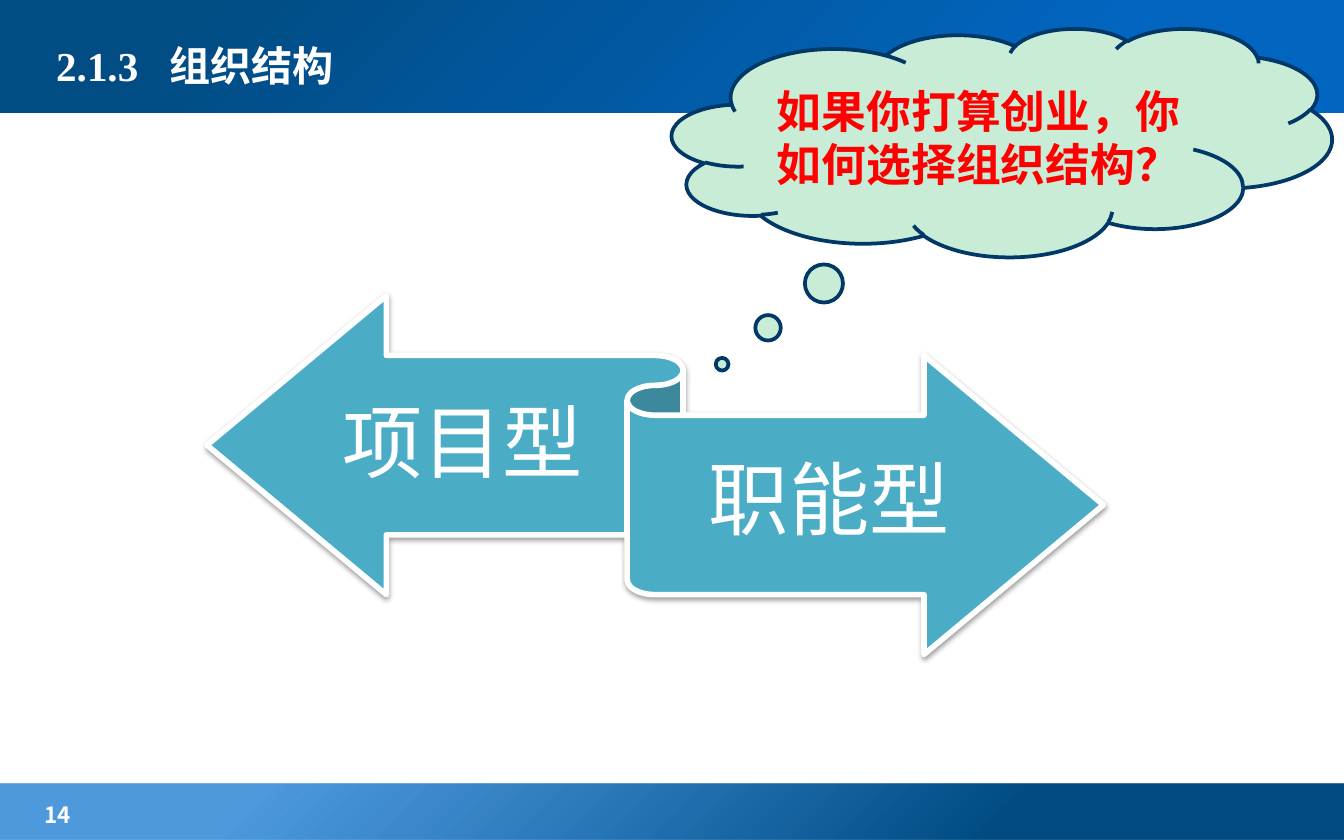
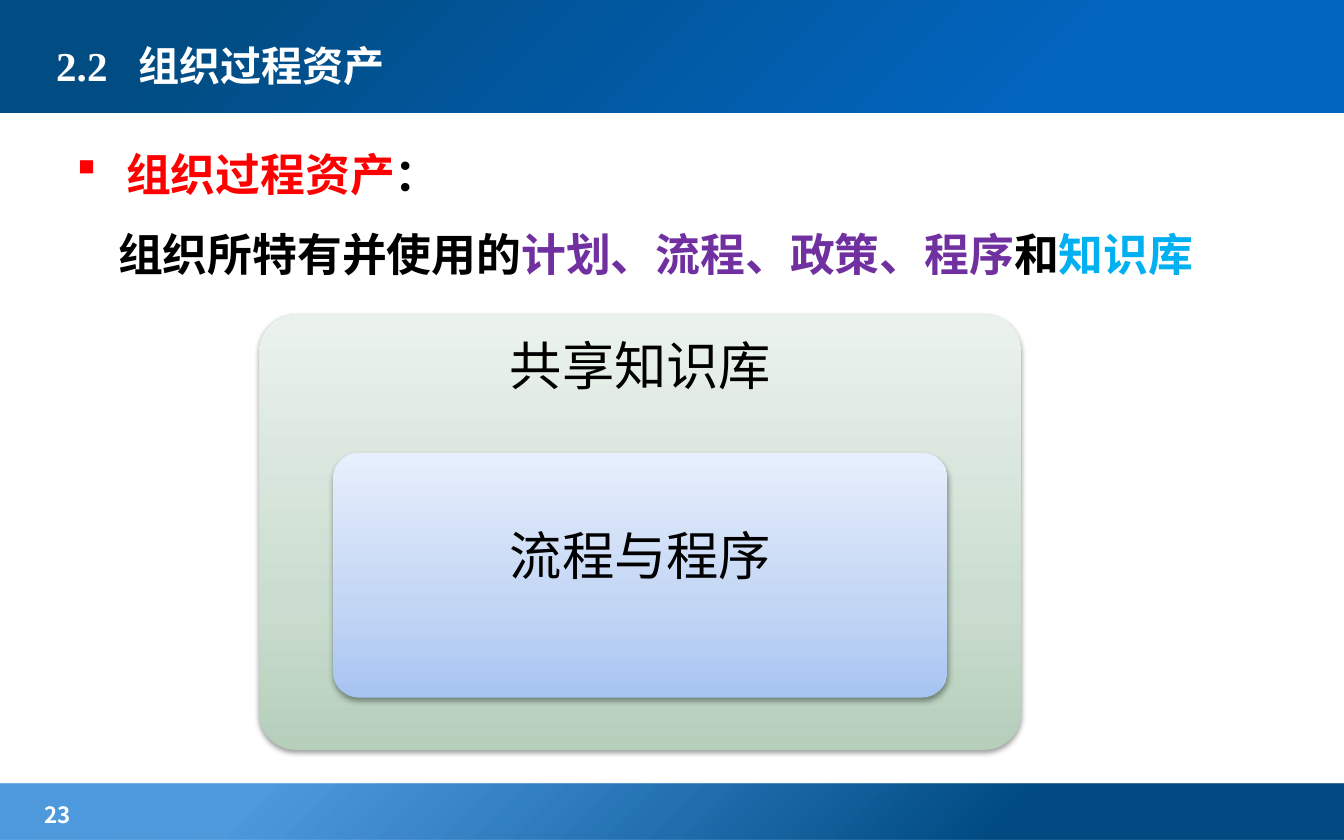
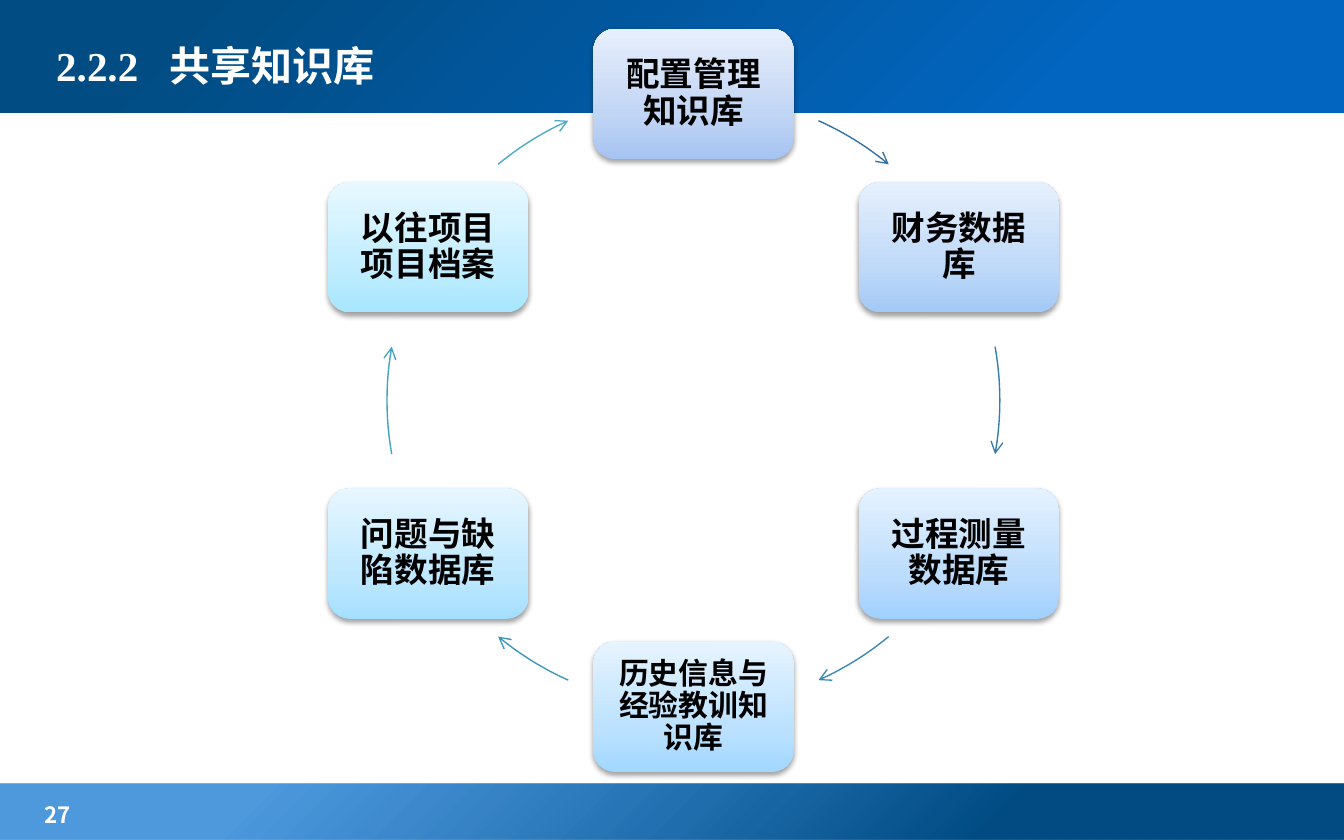
import math
from pptx import Presentation, util as u
from pptx.dml.color import RGBColor
from pptx.enum import shapes, text
from pptx.oxml import ns, parse_xml

Inches, Pt = u.Inches, u.Pt
KIND = shapes.MSO_SHAPE
MID, TOP = text.MSO_ANCHOR.MIDDLE, text.MSO_ANCHOR.TOP
LEFT, MIDDLE = text.PP_ALIGN.LEFT, text.PP_ALIGN.CENTER

# Colours and fonts
WHITE = RGBColor(255, 255, 255)
BLACK = RGBColor(0, 0, 0)
RED = RGBColor(255, 0, 0)
PURPLE = RGBColor(0x70, 0x30, 0xA0)
SKY = RGBColor(0x00, 0xB0, 0xF0)
TEAL = RGBColor(0x4B, 0xAC, 0xC6)
MINT = RGBColor(0xC8, 0xEC, 0xD6)
NAVY = RGBColor(0x01, 0x38, 0x68)
SERIF, SANS, HAN = "Times New Roman", "Lato", "Noto Sans CJK SC"

# Gradients: (position, colour, opacity)
HEAD = [(21, "0265BF", 100), (86, "014C83", 100)]
FOOT = [(26, "014C83", 100), (80, "026DCE", 70)]
CORNER = ('<a:path path="circle"><a:fillToRect l="100000" t="100000"/>'
          '</a:path>')
UPWARD = '<a:lin ang="16200000" scaled="0"/>'


def rise(low, mid, high):
    return [(0, low, 100), (35, mid, 100), (100, high, 100)]


GREEN = rise("B5CFBB", "CBDDD0", "EBF2ED")
BLUE = rise("A6C4F1", "C1D5F4", "E7EFFC")

# Knowledge bases clockwise from the top: text, size, gradient, next arrow
BASES = [
    ("配置管理知识库", 18, BLUE, "3371A4"),
    ("财务数据库", 18, rise("A3C9F7", "BFD9F8", "E6F0FD"), "367DAD"),
    ("过程测量数据库", 18, rise("A0D0FD", "BDDDFC", "E5F2FF"), "3989B5"),
    ("历史信息与经验教训知识库", 16, rise("A2D7FF", "BDE2FF", "E6F4FF"),
     "3C96BE"),
    ("问题与缺陷数据库", 18, rise("A5DFFF", "BFE8FF", "E7F6FF"), "42A2C3"),
    ("以往项目项目档案", 18, rise("A7E6FF", "C1EDFF", "E7F8FF"), "4BACC6"),
]
# Start and end angles of the arrows on one half of the ring
ARCS = [(24.1, 39.6), (79.9, 100.1), (140.4, 155.9)]
HUB, RADIUS = (5.16, 2.98), 2.28


def xml(tag, body="", attrs=""):
    return parse_xml(f"<a:{tag} {ns.nsdecls('a')} {attrs}>{body}</a:{tag}>")


# Shapes
def add_shape(slide, kind, box, shade=False):
    shape = slide.shapes.add_shape(kind, *map(Inches, box))
    shape.shadow.inherit = False
    shape.line.fill.background()
    if shade:
        effects = shape.element.spPr.find(ns.qn("a:effectLst"))
        effects.append(xml(
            "outerShdw",
            '<a:srgbClr val="000000"><a:alpha val="38000"/></a:srgbClr>',
            f'blurRad="{Pt(3.1)}" dist="{Pt(1.6)}" dir="5400000" '
            'rotWithShape="0"'))
    return shape


def paint(shape, fill, line, width):
    shape.fill.solid()
    shape.fill.fore_color.rgb = fill
    shape.line.color.rgb = line
    shape.line.width = Pt(width)


def blend(shape, stops, course):
    marks = "".join(
        f'<a:gs pos="{pos * 1000}"><a:srgbClr val="{tone}">'
        f'<a:alpha val="{alpha * 1000}"/></a:srgbClr></a:gs>'
        for pos, tone, alpha in stops)
    shape.fill.background()
    props = shape.element.spPr
    props.replace(props.find(ns.qn("a:noFill")),
                  xml("gradFill", f"<a:gsLst>{marks}</a:gsLst>{course}"))


# Text
def style(para, size, face, tone, bold=False, align=LEFT, space=None):
    para.alignment = align
    if space:
        para.line_spacing = space
    font = para.font
    font.size, font.name, font.bold = Pt(size), face, bold
    font.color.rgb = tone
    font._element.append(xml("ea", attrs=f'typeface="{HAN}"'))


def frame(shape, anchor=MID, pads=(0.1, 0.05, 0.1, 0.05)):
    body = shape.text_frame
    body.word_wrap = True
    body.vertical_anchor = anchor
    (body.margin_left, body.margin_top,
     body.margin_right, body.margin_bottom) = map(Inches, pads)
    return body


def write(shape, words, size, face, tone, bold=False, align=MIDDLE,
          space=None, **place):
    para = frame(shape, **place).paragraphs[0]
    para.add_run().text = words
    style(para, size, face, tone, bold, align, space)


def add_text(slide, box, words, *look, **place):
    write(slide.shapes.add_textbox(*map(Inches, box)), words, *look, **place)


def add_card(slide, box, stops, words, size, face, bold=False, round=None,
             **place):
    card = add_shape(slide, KIND.ROUNDED_RECTANGLE, box, True)
    if round:
        card.adjustments[0] = round
    blend(card, stops, UPWARD)
    write(card, words, size, face, BLACK, bold, space=0.9, **place)


# Parts all slides share
def add_page(deck, code, name, page):
    slide = deck.slides.add_slide(deck.slide_layouts[6])
    for box, stops in (((0, 5.83, 10, 0.42), FOOT),
                       ((0, -0.03, 10, 0.87), HEAD)):
        blend(add_shape(slide, KIND.RECTANGLE, box), stops, CORNER)
    add_text(slide, (0.23, 5.91, 1.54, 0.26), page, 12, HAN, WHITE, True,
             LEFT, anchor=TOP)
    title = slide.shapes.add_textbox(*map(Inches, (0.32, 0.13, 6.38, 0.71)))
    para = frame(title).paragraphs[0]
    para.add_run().text = f"{code}\t{name}"
    stop = Inches(0.27 + 0.115 * len(code))
    para._p.get_or_add_pPr().append(
        xml("tabLst", f'<a:tab pos="{stop}" algn="l"/>'))
    style(para, 22, SERIF, WHITE, True)
    return slide


# Slide parts
def add_types(slide):
    ribbon = add_shape(slide, KIND.LEFT_RIGHT_RIBBON,
                       (1.54, 2.2, 6.67, 2.67), True)
    paint(ribbon, TEAL, WHITE, 3)
    for box, words in (((2.34, 2.67, 2.2, 1.31), "项目型"),
                       ((4.87, 3.1, 2.6, 1.31), "职能型")):
        add_text(slide, box, words, 43, SANS, WHITE, space=0.9,
                 pads=(0, 0.17, 0, 0.18))


def add_cloud(slide):
    cloud = add_shape(slide, KIND.CLOUD_CALLOUT, (5, 0.21, 4.91, 1.7))
    cloud.adjustments[0], cloud.adjustments[1] = -0.424, 0.971
    paint(cloud, MINT, NAVY, 2)
    write(cloud, "如果你打算创业，你如何选择组织结构？", 24, SANS, RED, True)


def add_terms(slide):
    box = slide.shapes.add_textbox(*map(Inches, (0.47, 0.84, 9.49, 3.9)))
    body = frame(box, TOP)
    lines = [
        (0.37, [("组织过程资产", RED), ("：", BLACK)]),
        (0.31, [("组织所特有并使用的", BLACK),
                ("计划、流程、政策、程序", PURPLE),
                ("和", BLACK), ("知识库", SKY)]),
    ]
    for row, (indent, parts) in enumerate(lines):
        para = body.add_paragraph() if row else body.paragraphs[0]
        for words, tone in parts:
            run = para.add_run()
            run.text = words
            run.font.color.rgb = tone
        props = para._p.get_or_add_pPr()
        props.set("marL", str(Inches(indent)))
        if row == 0:
            props.set("indent", str(-Inches(indent)))
            # This character is a small square in Wingdings
            props.append(xml("buFont", attrs='typeface="Wingdings" '
                             'pitchFamily="2" charset="2"'))
            props.append(xml("buChar", attrs='char="§"'))
        style(para, 24, SERIF, BLACK, True, space=1.5)


def spot(angle):
    turn = math.radians(angle)
    return (HUB[0] + RADIUS * math.sin(turn),
            HUB[1] - RADIUS * math.cos(turn))


def widen(arc):
    """Give the arc the frame of the whole ring without moving its line."""
    left, top = (Inches(mid - RADIUS) for mid in HUB)
    size = Inches(2 * RADIUS)
    track = next(arc.element.iter(ns.qn("a:path")))
    for dot in track.iter(ns.qn("a:pt")):
        dot.set("x", str(int(dot.get("x")) + arc.left - left))
        dot.set("y", str(int(dot.get("y")) + arc.top - top))
    for side in "wh":
        track.set(side, str(size))
    arc.left, arc.top, arc.width, arc.height = left, top, size, size


def add_arc(slide, start, end, tone, steps=12):
    dots = [tuple(map(Inches, spot(start + (end - start) * i / steps)))
            for i in range(steps + 1)]
    path = slide.shapes.build_freeform(*dots[0])
    path.add_line_segments(dots[1:], close=False)
    arc = path.convert_to_shape()
    widen(arc)
    arc.shadow.inherit = False
    arc.fill.background()
    arc.line.color.rgb = RGBColor.from_string(tone)
    arc.line.width = Pt(0.75)
    arc.element.spPr.find(ns.qn("a:ln")).append(
        xml("tailEnd", attrs='type="arrow"'))


def add_ring(slide):
    wide, high = 1.49, 0.97
    for i, (words, size, stops, tone) in enumerate(BASES):
        x, y = spot(60 * i)
        add_card(slide, (x - wide / 2, y - high / 2, wide, high), stops,
                 words, size, SERIF, True, pads=(0.08, 0.07, 0.08, 0.07))
        half, step = divmod(i, 3)
        start, end = ARCS[step]
        add_arc(slide, start + 180 * half, end + 180 * half, tone)


def main():
    deck = Presentation()
    deck.slide_width, deck.slide_height = Inches(10), Inches(6.25)

    # Organisation types
    slide = add_page(deck, "2.1.3", "组织结构", "14")
    add_types(slide)
    add_cloud(slide)

    # Process assets
    slide = add_page(deck, "2.2", "组织过程资产", "23")
    add_terms(slide)
    add_card(slide, (1.93, 2.34, 5.67, 3.24), GREEN, "共享知识库", 28, SANS,
             round=0.085, anchor=TOP, pads=(0.12, 0.11, 0.12, 2.51))
    add_card(slide, (2.48, 3.37, 4.57, 1.82), BLUE, "流程与程序", 28, SANS,
             round=0.105, anchor=TOP, pads=(0.08, 0.52, 0.08, 0.5))

    # Shared knowledge bases
    add_ring(add_page(deck, "2.2.2", "共享知识库", "27"))

    deck.save("out.pptx")


if __name__ == "__main__":
    main()
